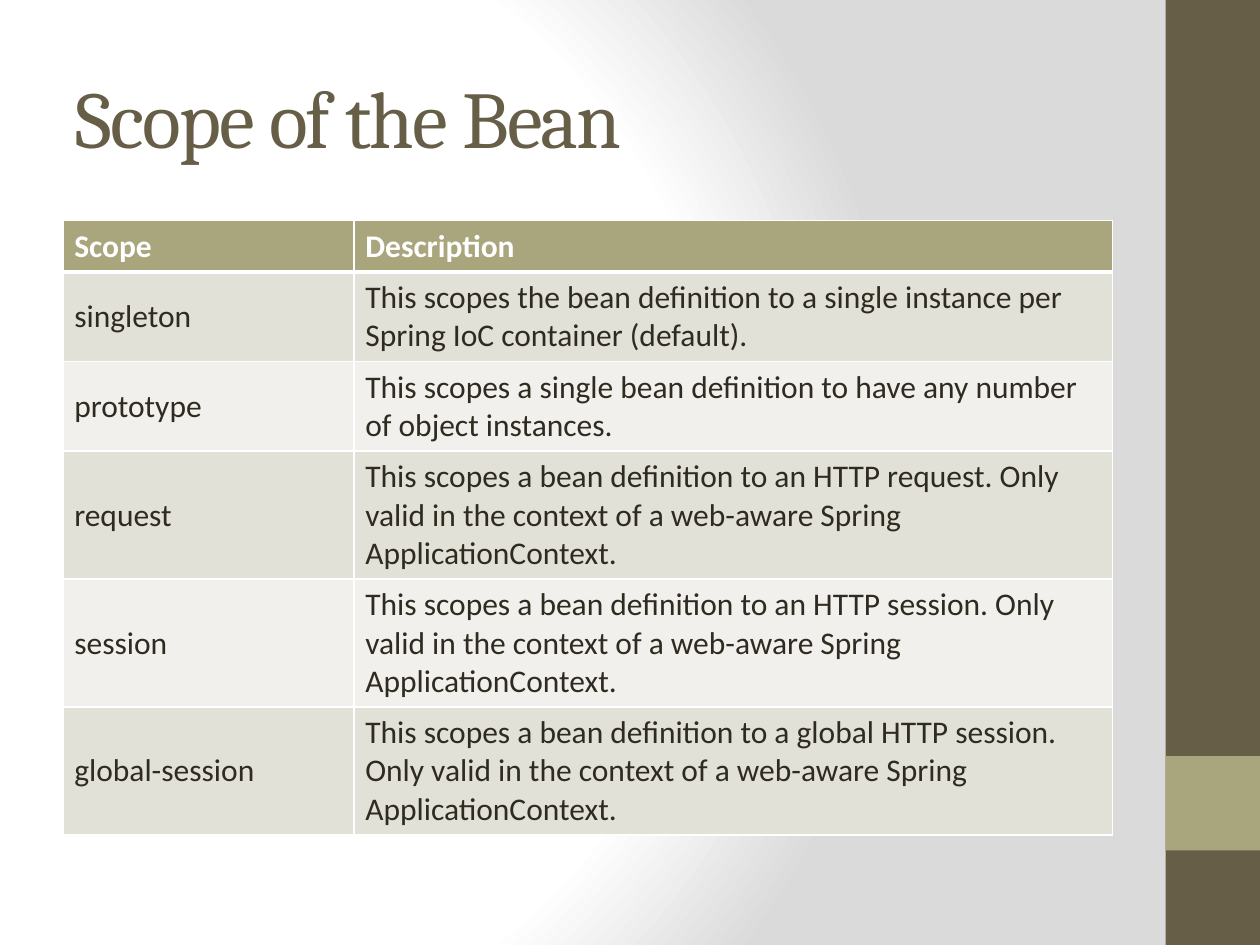
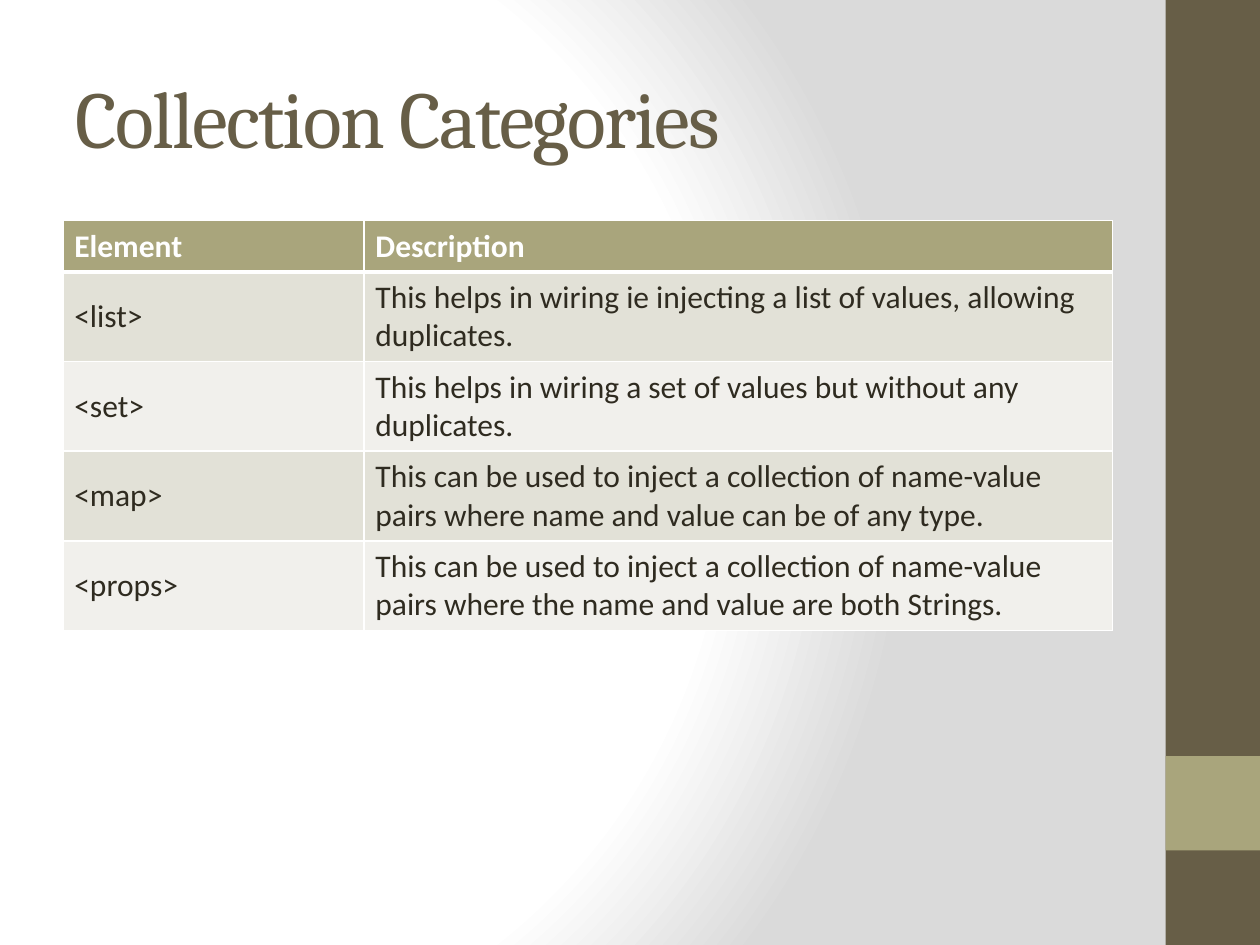
from dataclasses import dataclass

from lxml.etree import SubElement
from pptx import Presentation
from pptx.dml.color import RGBColor as RGB
from pptx.enum.shapes import MSO_SHAPE as SHAPE
from pptx.enum.text import MSO_ANCHOR as ANCHOR, MSO_AUTO_SIZE as AUTO, PP_ALIGN as ALIGN
from pptx.oxml import parse_xml
from pptx.oxml.ns import nsdecls, qn
from pptx.util import Inches, Pt


@dataclass(frozen=True)
class Theme:
    brown: str = "675E47"
    olive: str = "A9A57C"
    ink: str = "2F2B20"
    white: str = "FFFFFF"
    gray: str = "DADADA"
    bands: tuple = ("E2E1D7", "F1F0EC")
    title_font: str = "Cambria"
    body_font: str = "Calibri"
    title_size: int = 46
    body_size: int = 18


T = Theme()
LEFT, WIDTH = 0.5, 8.33
TABLE_TOP, ROW_HEIGHT = 1.75, 0.41
BAR_LEFT, BAR_WIDTH = 9.25, 0.75
THIN, THICK = 1, 3

SCOPES = [
    ("Scope", "Description"),
    ("singleton", "This scopes the bean definition to a single instance per "
                  "Spring IoC container (default)."),
    ("prototype", "This scopes a single bean definition to have any number "
                  "of object instances."),
    ("request", "This scopes a bean definition to an HTTP request. Only valid "
                "in the context of a web-aware Spring ApplicationContext."),
    ("session", "This scopes a bean definition to an HTTP session. Only valid "
                "in the context of a web-aware Spring ApplicationContext."),
    ("global-session", "This scopes a bean definition to a global HTTP session. Only valid "
                       "in the context of a web-aware Spring ApplicationContext."),
]
COLLECTIONS = [
    ("Element", "Description"),
    ("<list>", "This helps in wiring ie injecting a list of values, allowing duplicates."),
    ("<set>", "This helps in wiring a set of values but without any duplicates."),
    ("<map>", "This can be used to inject a collection of name-value pairs "
              "where name and value can be of any type."),
    ("<props>", "This can be used to inject a collection of name-value pairs "
                "where the name and value are both Strings."),
]


def set_attrs(obj, **values):
    for name, value in values.items():
        setattr(obj, name, value)


def set_font(font, color, **values):
    set_attrs(font, **values)
    font.color.rgb = RGB.from_string(color)


# Background shared through the master
def set_background(master):
    master.background.fill.gradient()
    grad = master.element.find(".//" + qn("a:gradFill"))
    stops = "".join(f'<a:gs pos="{pos}"><a:srgbClr val="{color}"/></a:gs>'
                    for pos, color in ((0, T.white), (75000, T.white), (100000, T.gray)))
    grad.getparent().replace(grad, parse_xml(
        f'<a:gradFill {nsdecls("a")} rotWithShape="1"><a:gsLst>{stops}</a:gsLst>'
        '<a:path path="circle"><a:fillToRect l="20000" t="50000" r="100000" b="50000"/>'
        '</a:path></a:gradFill>'))


# Side bar with its accent block
def add_side_bar(slide):
    for top, height, color in ((0, 7.5, T.brown), (6, 0.75, T.olive)):
        sp = slide.shapes.add_shape(SHAPE.RECTANGLE, Inches(BAR_LEFT), Inches(top),
                                    Inches(BAR_WIDTH), Inches(height))
        sp.shadow.inherit = False
        sp.fill.solid()
        sp.fill.fore_color.rgb = RGB.from_string(color)
        sp.line.fill.background()


def add_title(slide, text):
    sp = slide.shapes.title
    set_attrs(sp, left=Inches(LEFT), top=Inches(0.3), width=Inches(WIDTH), height=Inches(1.25))
    tf = sp.text_frame
    set_attrs(tf, vertical_anchor=ANCHOR.MIDDLE, word_wrap=True, auto_size=AUTO.NONE)
    p = tf.paragraphs[0]
    p.alignment = ALIGN.LEFT
    r = p.add_run()
    r.text = text
    set_font(r.font, T.brown, name=T.title_font, size=Pt(T.title_size))
    r.font._element.set("spc", "-100")


# Tables
def set_borders(cell, top, bottom):
    tc_pr = cell._tc.get_or_add_tcPr()
    sides = {"lnL": THIN, "lnR": THIN, "lnT": top, "lnB": bottom}
    for i, (side, width) in enumerate(sides.items()):
        ln = SubElement(tc_pr, qn(f"a:{side}"), w=str(Pt(width)))
        SubElement(SubElement(ln, qn("a:solidFill")), qn("a:srgbClr"), val=T.white)
        tc_pr.insert(i, ln)


def format_cell(cell, text, row):
    header = row == 0
    set_attrs(cell, vertical_anchor=ANCHOR.MIDDLE,
              margin_left=Inches(0.09), margin_right=Inches(0.09),
              margin_top=Inches(0.05), margin_bottom=Inches(0.05))
    cell.fill.solid()
    cell.fill.fore_color.rgb = RGB.from_string(T.olive if header else T.bands[(row - 1) % 2])
    set_borders(cell, THICK if row == 1 else THIN, THICK if header else THIN)
    r = cell.text_frame.paragraphs[0].add_run()
    r.text = text
    set_font(r.font, T.white if header else T.ink,
             name=T.body_font, size=Pt(T.body_size), bold=header)


def add_table(slide, rows, first_width, height):
    frame = slide.shapes.add_table(len(rows), 2, Inches(LEFT), Inches(TABLE_TOP),
                                   Inches(WIDTH), Inches(height))
    table = frame.table
    for column, width in zip(table.columns, (first_width, WIDTH - first_width)):
        column.width = Inches(width)
    for i, texts in enumerate(rows):
        table.rows[i].height = Inches(ROW_HEIGHT)
        for j, text in enumerate(texts):
            format_cell(table.cell(i, j), text, i)
    # Rows grow with their text, so the frame keeps the full height
    frame.height = Inches(height)


def add_table_slide(prs, title, rows, first_width, height):
    slide = prs.slides.add_slide(prs.slide_layouts.get_by_name("Title Only"))
    add_side_bar(slide)
    add_title(slide, title)
    add_table(slide, rows, first_width, height)


def main():
    prs = Presentation()
    set_attrs(prs, slide_width=Inches(10), slide_height=Inches(7.5))
    set_background(prs.slide_master)
    add_table_slide(prs, "Scope of the Bean", SCOPES, 2.31, 4.81)
    add_table_slide(prs, "Collection Categories", COLLECTIONS, 2.39, 3.21)
    prs.save("out.pptx")


if __name__ == "__main__":
    main()
